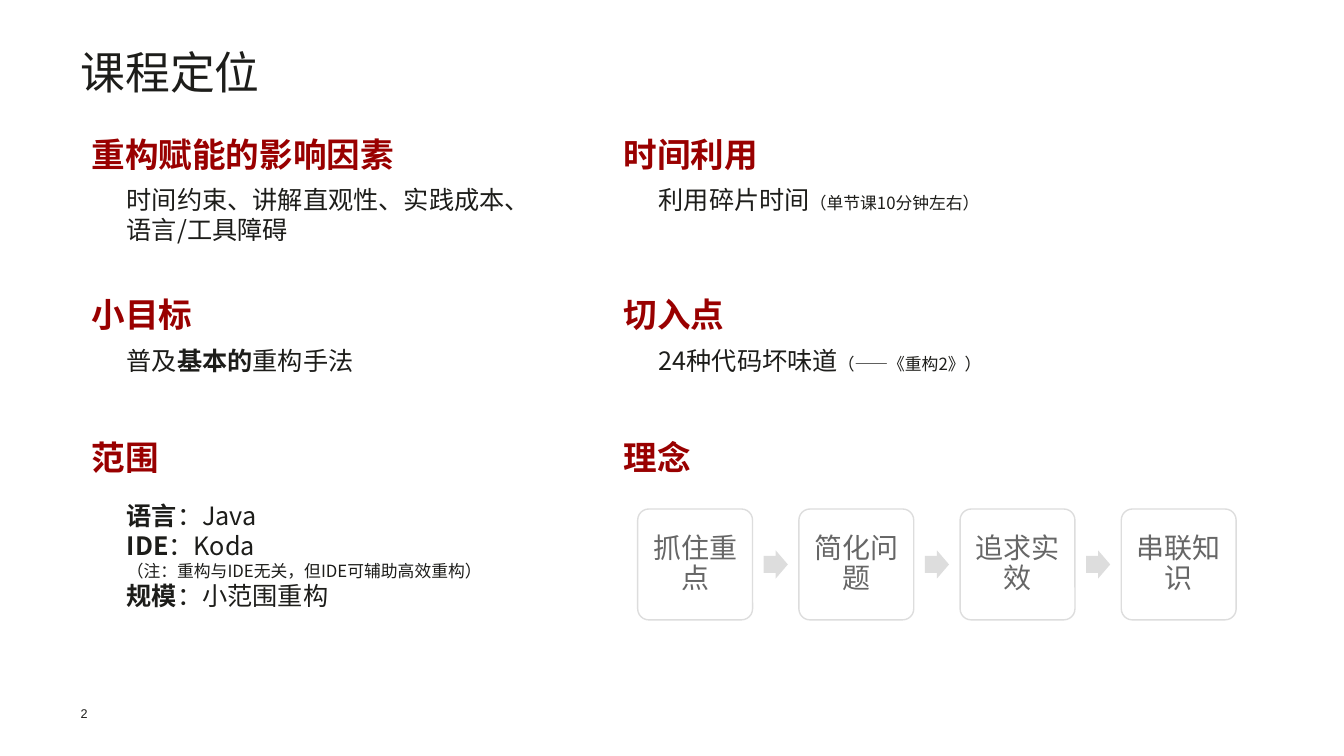
from dataclasses import dataclass

from lxml.etree import SubElement
from pptx import Presentation
from pptx.dml.color import RGBColor
from pptx.enum.shapes import MSO_SHAPE
from pptx.enum.text import MSO_ANCHOR, MSO_AUTO_SIZE, PP_ALIGN
from pptx.oxml.ns import qn
from pptx.util import Pt

SCALE = 9144  # EMU per px, 100 px to the inch


@dataclass(frozen=True)
class Theme:
    font: str = "Noto Sans CJK SC"
    plain: str = "Arial"
    ink: str = "1D1D1A"
    red: str = "990000"
    gray: str = "666666"
    pale: str = "DDDDDD"
    white: str = "FFFFFF"
    title: int = 32
    head: int = 24
    step: int = 20
    body: int = 18
    note: int = 12
    page: int = 9


THEME = Theme()

# Column left edges, and the width of the text under the headings
LEFT, RIGHT = (81, 412), (609, 343)
INDENT = 35

# Column, top, heading, gap to the text, and paragraphs of (text, style) runs
TOPICS = [
    (LEFT, 128, "重构赋能的影响因素", 50,
     [[("时间约束、讲解直观性、实践成本、语言/工具障碍", "")]]),
    (LEFT, 287, "小目标", 51,
     [[("普及", ""), ("基本的", "bold"), ("重构手法", "")]]),
    (LEFT, 429, "范围", 62,
     [[("语言", "bold"), ("：Java", "")],
      [("IDE", "bold"), ("：Koda", "")],
      [("（注：重构与IDE无关，但IDE可辅助高效重构）", "note")],
      [("规模", "bold"), ("：小范围重构", "")]]),
    (RIGHT, 128, "时间利用", 50,
     [[("利用碎片时间", ""), ("（单节课10分钟左右）", "note")]]),
    (RIGHT, 287, "切入点", 51,
     [[("24种代码坏味道", ""), ("（——《重构2》）", "note")]]),
    (RIGHT, 429, "理念", 0, []),
]
STEPS = ["抓住重点", "简化问题", "追求实效", "串联知识"]


def px(*sizes):
    return [size * SCALE for size in sizes]


def style(para, size, color, bold=False, name=THEME.font):
    font = para.font
    font.size, font.bold, font.name = Pt(size), bold, name
    font.color.rgb = RGBColor.from_string(color)
    for props in para._p.iter(qn("a:defRPr")):
        SubElement(props, qn("a:ea"), typeface=name)


def inset(frame, size):
    frame.margin_left = frame.margin_right = size * SCALE
    frame.margin_top = frame.margin_bottom = size * SCALE


def add_text(slide, box, paras, size, color, bold=False, name=THEME.font):
    frame = slide.shapes.add_textbox(*px(*box)).text_frame
    frame.word_wrap = True
    for index, runs in enumerate(paras):
        para = frame.add_paragraph() if index else frame.paragraphs[0]
        style(para, size, color, bold, name)
        for text, kind in runs:
            run = para.add_run()
            run.text = text
            if kind == "bold":
                run.font.bold = True
            elif kind == "note":
                run.font.size = Pt(THEME.note)
    return frame


def add_title(slide, text):
    title = slide.shapes.title
    title.left, title.top, title.width, title.height = px(80, 50, 1175, 109)
    frame = title.text_frame
    frame.auto_size = MSO_AUTO_SIZE.NONE
    frame.vertical_anchor = MSO_ANCHOR.TOP
    inset(frame, 0)
    para = frame.paragraphs[0]
    para.text = text
    para.alignment = PP_ALIGN.LEFT
    para.line_spacing = Pt(34.3)
    style(para, THEME.title, THEME.ink)


def add_topic(slide, column, top, head, gap, paras):
    left, width = column
    add_text(slide, (left, top, width, 50), [[(head, "")]],
             THEME.head, THEME.red, True)
    if paras:
        height = 10 + 30 * len(paras)
        add_text(slide, (left + INDENT, top + gap, width, height), paras,
                 THEME.body, THEME.ink)


def add_block(slide, kind, box, fill, line=None):
    block = slide.shapes.add_shape(kind, *px(*box))
    block.shadow.inherit = False
    block.fill.solid()
    block.fill.fore_color.rgb = RGBColor.from_string(fill)
    if line:
        block.line.color.rgb = RGBColor.from_string(line)
        block.line.width = Pt(1)
    else:
        block.line.fill.background()
    return block


def add_step(slide, left, text):
    block = add_block(slide, MSO_SHAPE.ROUNDED_RECTANGLE,
                      (left, 505, 114, 110), THEME.white, THEME.pale)
    block.adjustments[0] = 0.1
    frame = block.text_frame
    frame.word_wrap = True
    frame.vertical_anchor = MSO_ANCHOR.MIDDLE
    inset(frame, 8)
    para = frame.paragraphs[0]
    para.text = text
    para.alignment = PP_ALIGN.CENTER
    para.line_spacing = 0.9
    style(para, THEME.step, THEME.gray)


def add_flow(slide, left, pitch):
    for index, text in enumerate(STEPS):
        start = left + index * pitch
        if index:
            arrow = add_block(slide, MSO_SHAPE.RIGHT_ARROW,
                              (start - 35, 546, 24, 28), THEME.pale)
            arrow.adjustments[0] = 0.6
        add_step(slide, start, text)


def main():
    deck = Presentation()
    deck.slide_width, deck.slide_height = px(1334, 750)
    slide = deck.slides.add_slide(deck.slide_layouts.get_by_name("Title Only"))

    # Title and topics
    add_title(slide, "课程定位")
    for topic in TOPICS:
        add_topic(slide, *topic)

    # Row of principles
    add_flow(slide, 633, 160)

    # Page number
    page = add_text(slide, (80, 700, 55, 15), [[("2", "")]],
                    THEME.page, THEME.ink, name=THEME.plain)
    inset(page, 0)

    deck.save("out.pptx")


if __name__ == "__main__":
    main()
